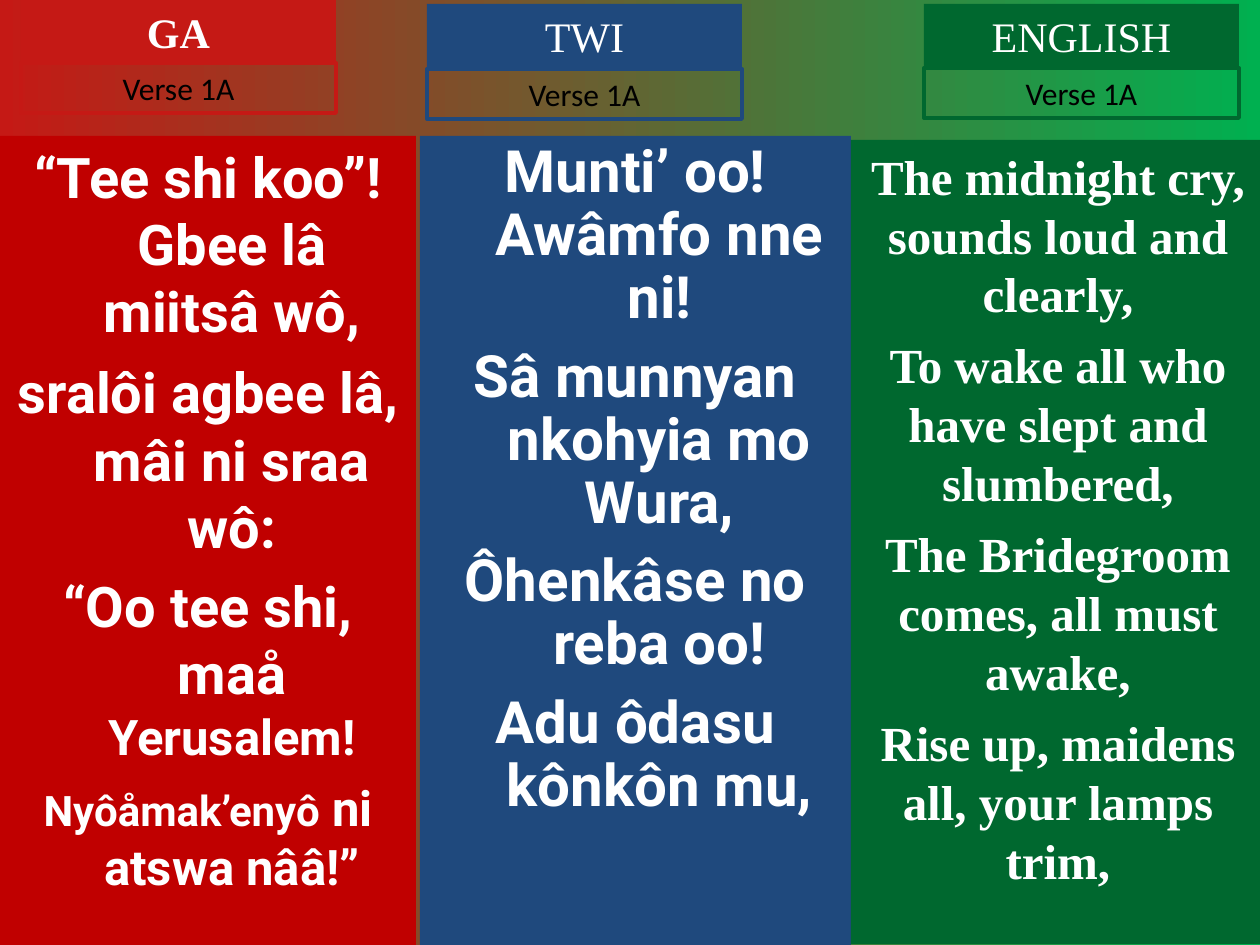
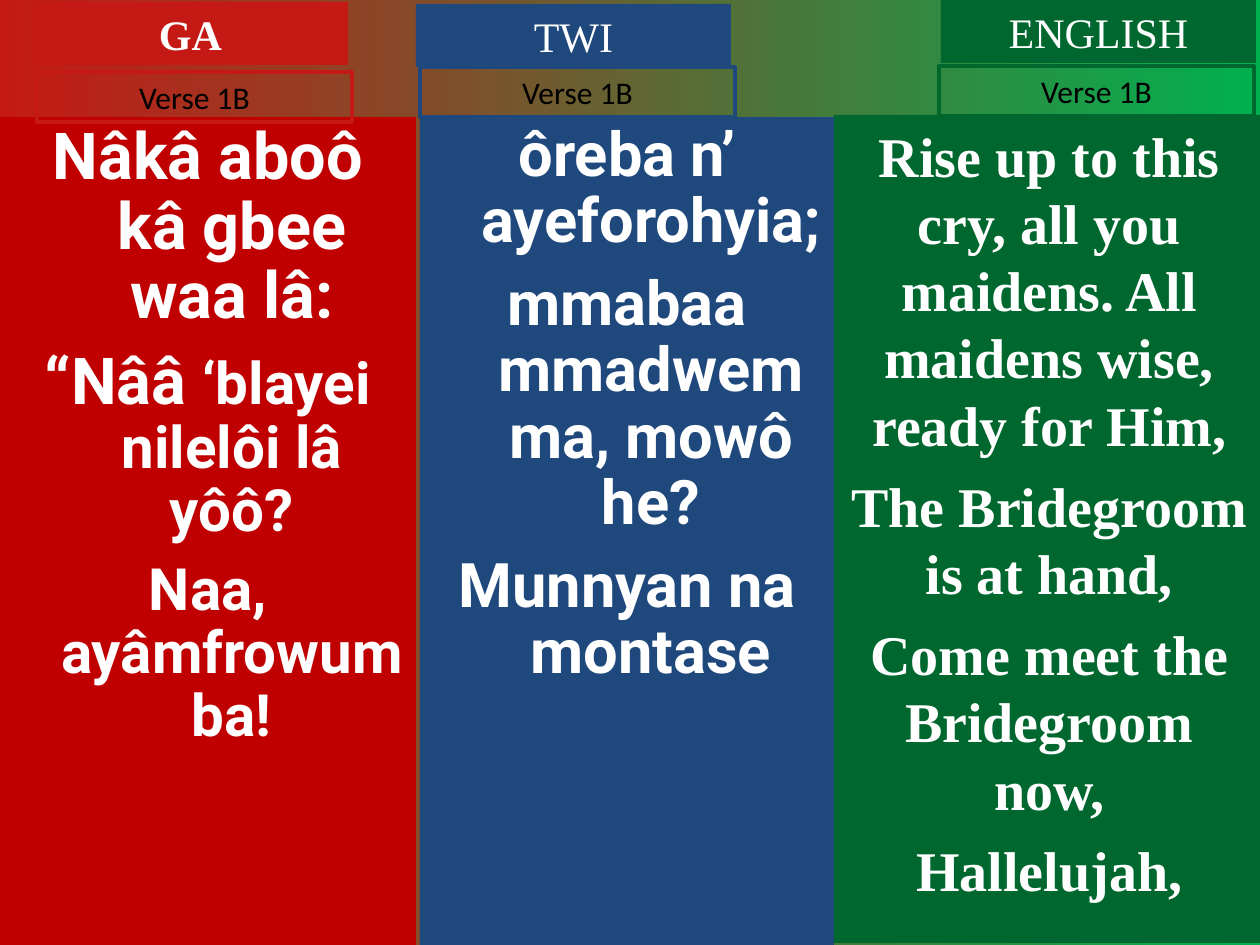
import dataclasses
import typing

import pptx
import pptx.dml.color
import pptx.enum.shapes
import pptx.enum.text
import pptx.util

EMU_PER_PX = 914400 // 126
SLIDE_SIZE = (1260, 945)
TITLE_SIZE = (315, 63)
VERSE_SIZE = (315, 50)
HANGING_INDENT = 48

COLORS = {
    "red": "C51915",
    "deep red": "C00000",
    "blue": "1F497D",
    "green": "00682F",
    "bright green": "00B050",
    "white": "FFFFFF",
    "black": "000000",
}


@dataclasses.dataclass(frozen=True)
class Language:
    name: str
    header_color: str
    body_color: str
    body_font: str
    hanging: bool = False
    bold_title: bool = False


@dataclasses.dataclass(frozen=True)
class Run:
    text: str
    size: float


@dataclasses.dataclass(frozen=True)
class Line:
    runs: tuple[Run, ...]
    space_before: float


@dataclasses.dataclass(frozen=True)
class Column:
    language: Language
    title_at: tuple[int, int]
    verse_at: tuple[int, int]
    body_box: tuple[int, int, int, int]
    lines: list[Line]
    line_spacing: float = 1.0


@dataclasses.dataclass(frozen=True)
class Verse:
    label: str
    columns: list[Column]


def px(length: int) -> int:
    return pptx.util.Emu(length * EMU_PER_PX)


def rgb(name: str) -> pptx.dml.color.RGBColor:
    return pptx.dml.color.RGBColor.from_string(COLORS[name])


def plain_lines(size: float, space_before: float, *texts: str) -> list[Line]:
    """Make lines that all have one size and one gap."""
    return [Line((Run(text, size),), space_before) for text in texts]


def add_box(slide, box: tuple[int, int, int, int], fill: typing.Optional[str] = None,
            outline: typing.Optional[str] = None, grow: bool = False):
    shape = slide.shapes.add_shape(
        pptx.enum.shapes.MSO_SHAPE.RECTANGLE, *(px(length) for length in box))
    shape.shadow.inherit = False
    if fill:
        shape.fill.solid()
        shape.fill.fore_color.rgb = rgb(fill)
    else:
        shape.fill.background()
    if outline:
        shape.line.color.rgb = rgb(outline)
        shape.line.width = pptx.util.Pt(2.25)
    else:
        shape.line.fill.background()
    frame = shape.text_frame
    frame.word_wrap = True
    frame.vertical_anchor = pptx.enum.text.MSO_ANCHOR.TOP
    if grow:
        frame.auto_size = pptx.enum.text.MSO_AUTO_SIZE.SHAPE_TO_FIT_TEXT
    return shape


def write_text(paragraph, text: str, *, size: float, font: str,
               color: str = "white", bold: bool = False) -> None:
    paragraph.alignment = pptx.enum.text.PP_ALIGN.CENTER
    run = paragraph.add_run()
    run.text = text
    run.font.size = pptx.util.Pt(size)
    run.font.name = font
    run.font.bold = bold
    run.font.color.rgb = rgb(color)


def add_body(slide, column: Column) -> None:
    language = column.language
    frame = add_box(slide, column.body_box, fill=language.body_color).text_frame
    for index, line in enumerate(column.lines):
        paragraph = frame.add_paragraph() if index else frame.paragraphs[0]
        if index:
            paragraph.space_before = pptx.util.Pt(line.space_before)
        paragraph.line_spacing = column.line_spacing
        if language.hanging:
            properties = paragraph._p.get_or_add_pPr()
            properties.set("marL", str(px(HANGING_INDENT)))
            properties.set("indent", str(-px(HANGING_INDENT)))
        for run in line.runs:
            write_text(paragraph, run.text, size=run.size, font=language.body_font, bold=True)


def add_header(slide, column: Column, label: str) -> None:
    language = column.language
    title = add_box(slide, column.title_at + TITLE_SIZE, fill=language.header_color, grow=True)
    write_text(title.text_frame.paragraphs[0], language.name, size=24,
               font="Times New Roman", bold=language.bold_title)
    verse = add_box(slide, column.verse_at + VERSE_SIZE, outline=language.header_color, grow=True)
    write_text(verse.text_frame.paragraphs[0], label, size=18, font="Calibri", color="black")


def add_verse(presentation, verse: Verse) -> None:
    slide = presentation.slides.add_slide(presentation.slide_layouts[6])
    for column in verse.columns:
        add_body(slide, column)
    for column in verse.columns:
        add_header(slide, column, verse.label)


def set_background(presentation) -> None:
    fill = presentation.slide_master.background.fill
    fill.gradient()
    fill.gradient_angle = 0
    for stop, position, color in zip(fill.gradient_stops, (0, 1), ("red", "bright green")):
        stop.position = position
        stop.color.rgb = rgb(color)


GA = Language("GA", "red", "deep red", "Roboto", hanging=True, bold_title=True)
TWI = Language("TWI", "blue", "blue", "Roboto", hanging=True)
ENGLISH = Language("ENGLISH", "green", "green", "Times New Roman")

VERSES = [
    Verse("Verse 1A", [
        Column(GA, (21, 0), (21, 63), (0, 136, 416, 809), [
            *plain_lines(32, 8, "“Tee shi koo”! Gbee lâ miitsâ wô,",
                         "sralôi agbee lâ, mâi ni sraa wô:"),
            Line((Run("“Oo tee shi, maå ", 32), Run("Yerusalem!", 28)), 7),
            Line((Run("Nyôåmak’enyô", 24), Run(" ni atswa nââ!”", 28)), 7),
        ]),
        Column(TWI, (427, 4), (427, 69), (420, 136, 431, 809), plain_lines(
            33.3, 9,
            "Munti’ oo! Awâmfo nne ni!",
            "Sâ munnyan nkohyia mo Wura,",
            "Ôhenkâse no reba oo!",
            "Adu ôdasu kônkôn mu,",
        ), line_spacing=0.9),
        Column(ENGLISH, (924, 4), (924, 68), (851, 140, 414, 804), plain_lines(
            28, 7,
            "The midnight cry, sounds loud and clearly,",
            "To wake all who have slept and slumbered,",
            "The Bridegroom comes, all must awake,",
            "Rise up, maidens all, your lamps trim,",
        )),
    ]),
    Verse("Verse 1B", [
        Column(GA, (33, 2), (37, 72), (0, 117, 416, 828), [
            *plain_lines(37, 10, "Nâkâ aboô kâ gbee waa lâ:"),
            Line((Run("“Nââ ", 37), Run("‘blayei nilelôi lâ yôô?", 33.3)), 9),
            *plain_lines(33.3, 9, "Naa, ayâmfrowumba!"),
        ], line_spacing=0.9),
        Column(TWI, (416, 4), (420, 67), (420, 117, 414, 828), plain_lines(
            35.1, 9.5,
            "ôreba n’ ayeforohyia;",
            "mmabaa mmadwemma, mowô he?",
            "Munnyan na montase",
        ), line_spacing=0.9),
        Column(ENGLISH, (941, 0), (939, 66), (834, 115, 431, 828), plain_lines(
            32, 8,
            "Rise up to this cry, all you maidens. All maidens wise, ready for Him,",
            "The Bridegroom is at hand,",
            "Come meet the Bridegroom now,",
            "Hallelujah,",
        )),
    ]),
]


def main() -> None:
    presentation = pptx.Presentation()
    presentation.slide_width, presentation.slide_height = map(px, SLIDE_SIZE)
    set_background(presentation)
    for verse in VERSES:
        add_verse(presentation, verse)
    presentation.save("out.pptx")


if __name__ == "__main__":
    main()
